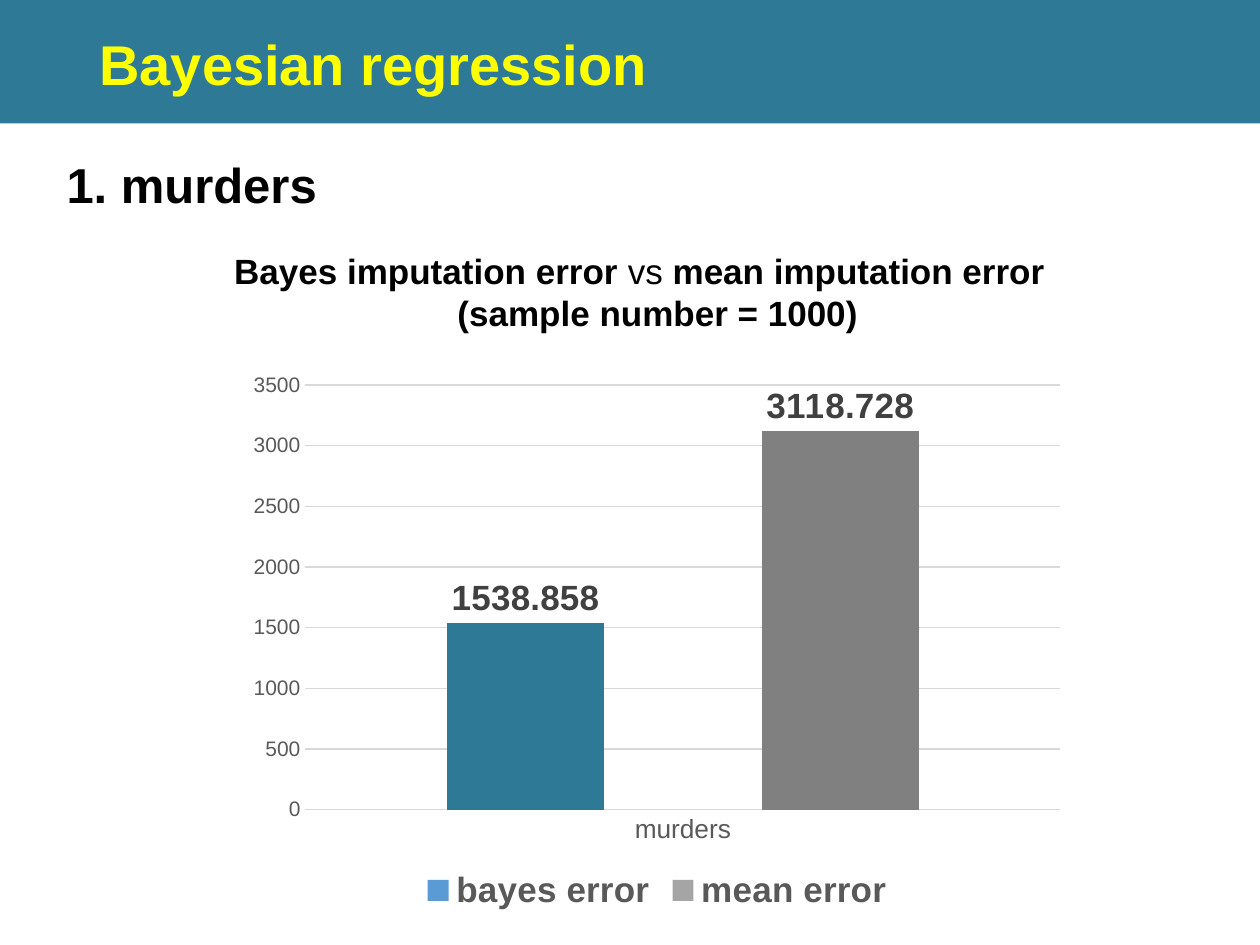
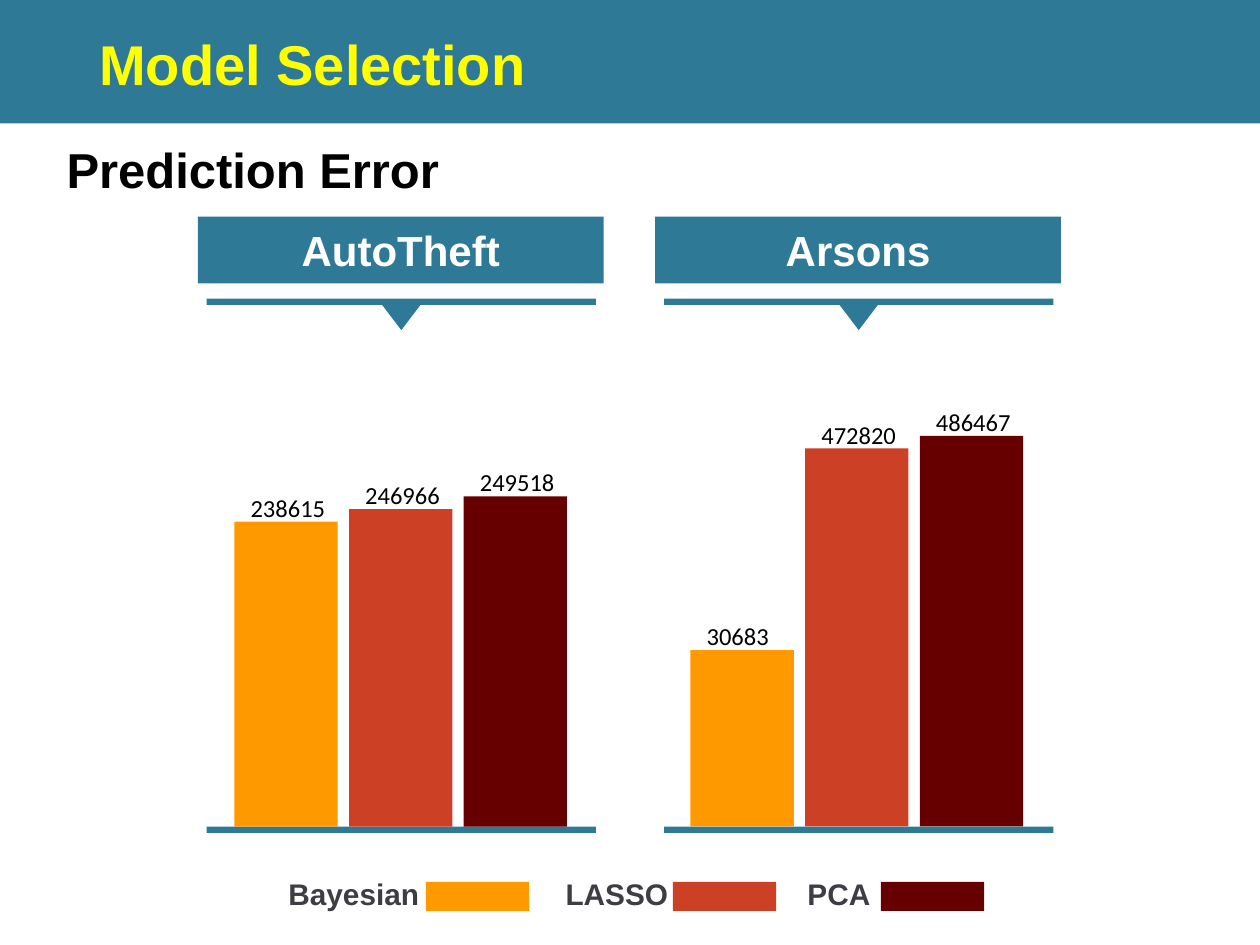
from pptx import Presentation
from pptx import util as u
from pptx.chart.data import CategoryChartData
from pptx.dml.color import RGBColor
from pptx.enum import chart as charts, shapes, text

# Shared look
FONT = "Arial"
TEAL, YELLOW, BLACK, WHITE = "2E7996", "FFFF00", "000000", "FFFFFF"
AXIS_TEXT, LABEL_TEXT, GRID, LEGEND_TEXT = "595959", "404040", "D9D9D9", "3E3D43"
MODEL_COLOURS = ["FF9900", "CC4125", "660000"]

# Bar panels: all bars stand on one baseline
BASELINE = 6.56
BAR_WIDTH, BAR_PITCH = 0.82, 0.91
PANEL_WIDTH = 3.09


def colour(hex_code):
    return RGBColor.from_string(hex_code)


def style_font(font, size, hex_code, bold=False, name=FONT):
    font.name, font.size, font.bold = name, u.Pt(size), bold
    font.color.rgb = colour(hex_code)


def add_text(slide, box, content, size, hex_code=BLACK, bold=True, name=FONT,
             inset=0.05):
    shape = slide.shapes.add_textbox(*map(u.Inches, box))
    frame = shape.text_frame
    frame.word_wrap = True
    frame.margin_top = frame.margin_bottom = u.Inches(inset)
    frame.text = content
    for paragraph in frame.paragraphs:
        for run in paragraph.runs:
            style_font(run.font, size, hex_code, bold, name)
    return frame


def add_block(slide, box, fill, kind=shapes.MSO_SHAPE.RECTANGLE):
    shape = slide.shapes.add_shape(kind, *map(u.Inches, box))
    shape.shadow.inherit = False
    shape.fill.solid()
    shape.fill.fore_color.rgb = colour(fill)
    shape.line.fill.background()
    return shape


def add_slide(presentation, title, heading, heading_top):
    slide = presentation.slides.add_slide(presentation.slide_layouts[6])
    add_block(slide, (0, 0, 10, 0.98), TEAL)
    frame = add_text(slide, (0.69, 0.22, 9.06, 0.63), title, 32, YELLOW)
    frame.vertical_anchor = text.MSO_ANCHOR.MIDDLE
    frame.paragraphs[0].line_spacing = 0.9
    add_text(slide, (0.43, heading_top, 4.54, 0.57), heading, 28)
    return slide


def add_error_chart(slide, box, category, errors):
    """errors holds (series name, value, legend colour, bar colour)."""
    data = CategoryChartData()
    data.categories = [category]
    for name, value, _, _ in errors:
        data.add_series(name, [value])
    chart = slide.shapes.add_chart(
        charts.XL_CHART_TYPE.COLUMN_CLUSTERED, *map(u.Inches, box), data).chart
    style_font(chart.font, 10, BLACK)
    chart.has_title = False

    # Legend
    chart.has_legend = True
    chart.legend.position = charts.XL_LEGEND_POSITION.BOTTOM
    chart.legend.include_in_layout = False
    style_font(chart.legend.font, 20, AXIS_TEXT, True)

    # Axes
    for axis, size in ((chart.category_axis, 15), (chart.value_axis, 12)):
        axis.major_tick_mark = axis.minor_tick_mark = charts.XL_TICK_MARK.NONE
        style_font(axis.tick_labels.font, size, AXIS_TEXT)
    chart.value_axis.format.line.fill.background()
    chart.value_axis.has_major_gridlines = True
    for line in (chart.category_axis.format.line,
                 chart.value_axis.major_gridlines.format.line):
        line.color.rgb = colour(GRID)
        line.width = u.Pt(0.75)

    # Bars and their labels
    plot = chart.plots[0]
    plot.gap_width, plot.overlap, plot.vary_by_categories = 180, -100, False
    for series, (_, _, legend_colour, bar_colour) in zip(plot.series, errors):
        for part, hex_code in ((series, legend_colour), (series.points[0], bar_colour)):
            part.format.fill.solid()
            part.format.fill.fore_color.rgb = colour(hex_code)
        labels = series.data_labels
        labels.show_value = True
        labels.position = charts.XL_LABEL_POSITION.OUTSIDE_END
        style_font(labels.font, 20, LABEL_TEXT, True)


def add_panel(slide, left, name, first_bar, bars):
    """bars holds (value label, bar height) in the order of the models."""
    header = add_block(slide, (left - 0.07, 1.72, PANEL_WIDTH + 0.13, 0.53), TEAL)
    header.text_frame.text = name
    header.text_frame.vertical_anchor = text.MSO_ANCHOR.MIDDLE
    paragraph = header.text_frame.paragraphs[0]
    paragraph.alignment = text.PP_ALIGN.CENTER
    style_font(paragraph.runs[0].font, 24, WHITE, True)

    # Rules and pointer
    for top in (2.37, BASELINE):
        add_block(slide, (left, top, PANEL_WIDTH, 0.05), TEAL)
    pointer = add_block(slide, (left + 1.37, 2.39, 0.35, 0.23), TEAL,
                        shapes.MSO_SHAPE.ISOSCELES_TRIANGLE)
    pointer.rotation = 180

    for index, (label, height) in enumerate(bars):
        bar_left, top = first_bar + index * BAR_PITCH, BASELINE - height
        add_block(slide, (bar_left, top, BAR_WIDTH, height), MODEL_COLOURS[index])
        add_text(slide, (bar_left + 0.03, top - 0.33, 0.92, 0.23), label, 14,
                 bold=False, name="Calibri", inset=0.1)


def add_model_key(slide, entries):
    """entries holds (model, text left, text width, swatch left)."""
    for (model, left, width, swatch_left), fill in zip(entries, MODEL_COLOURS):
        add_text(slide, (left, 6.9, width, 0.42), model, 17, LEGEND_TEXT)
        add_block(slide, (swatch_left, 7, BAR_WIDTH, 0.23), fill)


def build_regression_slide(presentation):
    slide = add_slide(presentation, "Bayesian regression", "1. murders", 1.18)
    add_error_chart(slide, (1.88, 2.88, 6.67, 4.4), "murders", [
        ("bayes error", 1538.858, "5B9BD5", TEAL),
        ("mean error", 3118.728, "A5A5A5", "808080"),
    ])
    caption = add_text(slide, (1.76, 1.93, 6.92, 0.77), "\n(sample number = 1000)", 20)
    first, second = caption.paragraphs
    for words in ("Bayes imputation error ", "vs", " mean imputation error"):
        run = first.add_run()
        run.text = words
        style_font(run.font, 20, BLACK, words != "vs")
    second.alignment = text.PP_ALIGN.CENTER


def build_selection_slide(presentation):
    slide = add_slide(presentation, "Model Selection", "Prediction Error", 1.06)
    add_panel(slide, 1.64, "AutoTheft", 1.86,
              [("238615", 2.42), ("246966", 2.52), ("249518", 2.62)])
    add_panel(slide, 5.27, "Arsons", 5.48,
              [("30683", 1.4), ("472820", 3), ("486467", 3.1)])
    add_model_key(slide, [("Bayesian", 2.19, 1.45, 3.38),
                          ("LASSO", 4.39, 1.17, 5.34),
                          ("PCA", 6.31, 0.92, 6.99)])


def main():
    presentation = Presentation()
    presentation.slide_width = u.Inches(10)
    presentation.slide_height = u.Inches(7.5)
    build_regression_slide(presentation)
    build_selection_slide(presentation)
    presentation.save("out.pptx")


if __name__ == "__main__":
    main()
